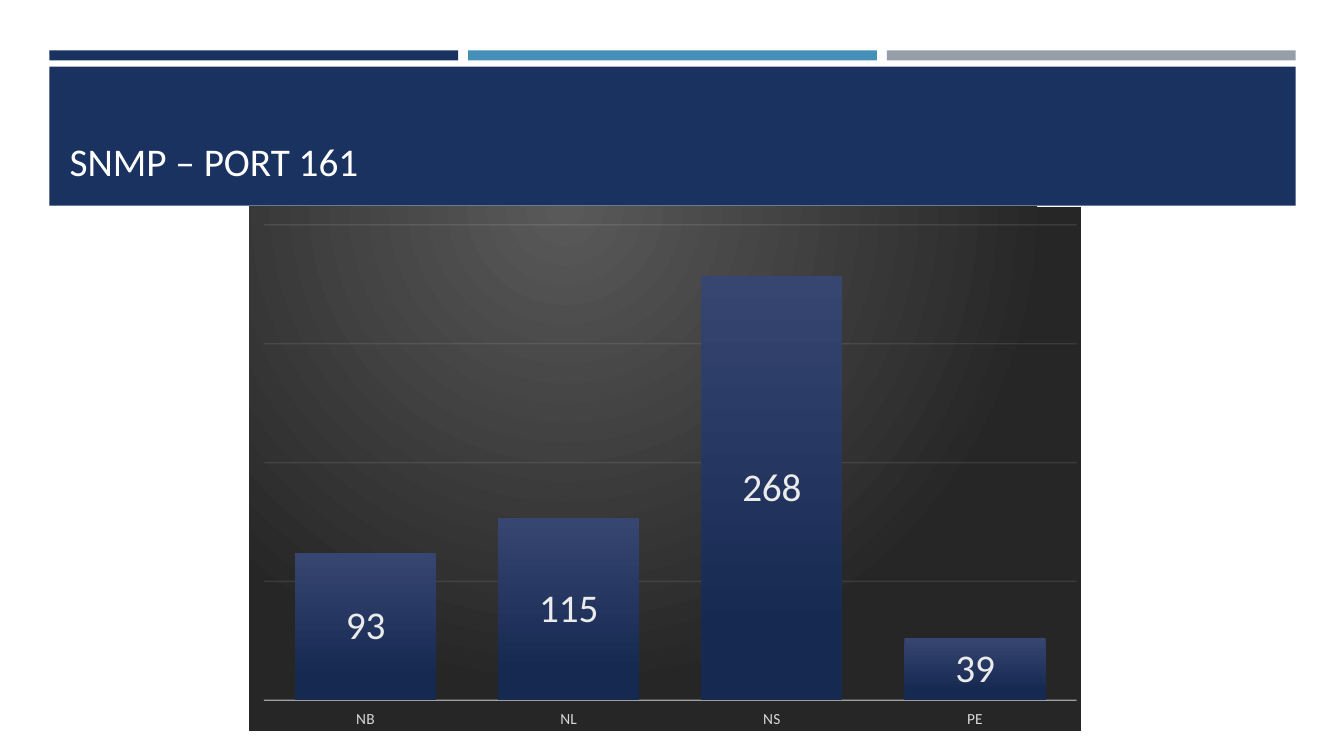
from lxml import etree
from pptx import Presentation
from pptx.chart.data import CategoryChartData
from pptx.dml.color import RGBColor
from pptx.enum.chart import XL_CHART_TYPE, XL_LABEL_POSITION, XL_TICK_LABEL_POSITION, XL_TICK_MARK
from pptx.enum.shapes import MSO_SHAPE
from pptx.enum.text import MSO_ANCHOR, PP_ALIGN
from pptx.oxml import parse_xml
from pptx.oxml.ns import nsdecls, qn
from pptx.util import Inches, Pt

STACKED = XL_CHART_TYPE.COLUMN_STACKED
CENTER = XL_LABEL_POSITION.CENTER
LABELS_LOW = XL_TICK_LABEL_POSITION.LOW
LABELS_NONE = XL_TICK_LABEL_POSITION.NONE
TICK_NONE = XL_TICK_MARK.NONE
RECTANGLE = MSO_SHAPE.RECTANGLE

FONT = "Calibri"
COLORS = {
    "navy": "1A3260", "blue": "4590B8", "gray": "969FA7", "white": "FFFFFF",
    "black": "000000", "chart_light": "595959", "chart_dark": "262626",
    "column_top": "364671", "column_bottom": "162A51",
    "axis_line": "F2F2F2", "axis_text": "D9D9D9", "value_text": "EBEBEB",
}
PORT_COUNTS = {"NB": 93, "NL": 115, "NS": 268, "PE": 39}


def rgb(name):
    return RGBColor.from_string(COLORS[name])


def style_font(font, size, color):
    font.name = FONT
    font.size = Pt(size)
    font.color.rgb = rgb(color)


def add_block(page, box, color):
    block = page.shapes.add_shape(RECTANGLE, *(Inches(length) for length in box))
    block.shadow.inherit = False
    block.fill.solid()
    block.fill.fore_color.rgb = rgb(color)
    block.line.fill.background()
    return block


def add_stripes(page, box, colors, gap):
    left, top, width, height = box
    stripe_width = (width - gap * (len(colors) - 1)) / len(colors)
    for column, color in enumerate(colors):
        stripe_left = left + column * (stripe_width + gap)
        add_block(page, (stripe_left, top, stripe_width, height), color)


def add_title_band(page, box, title):
    band = add_block(page, box, "navy")
    frame = band.text_frame
    frame.word_wrap = True
    frame.vertical_anchor = MSO_ANCHOR.BOTTOM
    frame.margin_left = frame.margin_right = Inches(0.2)
    frame.margin_top = frame.margin_bottom = Inches(0.21)
    para = frame.paragraphs[0]
    para.alignment = PP_ALIGN.LEFT
    span = para.add_run()
    span.text = title
    style_font(span.font, 28, "white")


def style_line(line, color, width, root, query, opacity):
    """Colour a line and make the colour found by the query partly transparent."""
    line.color.rgb = rgb(color)
    line.width = Pt(width)
    for node in root.xpath(query):
        etree.SubElement(node, qn("a:alpha")).set("val", str(opacity * 1000))


def fill_chart_background(root):
    stops = "".join(
        f'<a:gs pos="{position}"><a:srgbClr val="{COLORS[color]}"/></a:gs>'
        for position, color in ((0, "chart_light"), (100000, "chart_dark")))
    root.find(qn("c:chart")).addnext(parse_xml(
        f'<c:spPr {nsdecls("c", "a")}><a:gradFill><a:gsLst>{stops}</a:gsLst>'
        '<a:path path="circle"><a:fillToRect l="38000" t="-20000" r="62000" b="120000"/>'
        '</a:path></a:gradFill><a:ln><a:noFill/></a:ln></c:spPr>'))


def place_plot(root, left, top, width, height):
    """Fix the inner plot area, in shares of the chart's size."""
    plot_area = root.find(qn("c:chart")).find(qn("c:plotArea"))
    for layout in plot_area.findall(qn("c:layout")):
        plot_area.remove(layout)
    plot_area.insert(0, parse_xml(
        f'<c:layout {nsdecls("c")}><c:manualLayout><c:layoutTarget val="inner"/>'
        '<c:xMode val="edge"/><c:yMode val="edge"/>'
        f'<c:x val="{left}"/><c:y val="{top}"/><c:w val="{width}"/><c:h val="{height}"/>'
        '</c:manualLayout></c:layout>'))


def style_axes(chart):
    root = chart.element
    categories, values = chart.category_axis, chart.value_axis
    for axis in (categories, values):
        axis.major_tick_mark = axis.minor_tick_mark = TICK_NONE
        style_font(axis.tick_labels.font, 11, "axis_text")
    categories.tick_label_position = LABELS_LOW
    style_line(categories.format.line, "axis_line", 1, root,
               ".//c:catAx/c:spPr/a:ln//a:srgbClr", 54)
    values.tick_label_position = LABELS_NONE
    values.minimum_scale, values.maximum_scale, values.major_unit = 0, 300, 75
    values.format.line.fill.background()
    values.has_major_gridlines = True
    style_line(values.major_gridlines.format.line, "axis_line", 1, root,
               ".//c:majorGridlines//a:srgbClr", 10)


def style_columns(plot):
    plot.gap_width, plot.overlap = 44, 100
    plot.vary_by_categories = False
    fill = plot.series[0].format.fill
    fill.gradient()
    fill.gradient_angle = 270
    stops = ((0, "column_top"), (0.84, "column_bottom"))
    for stop, (position, color) in zip(fill.gradient_stops, stops):
        stop.position = position
        stop.color.rgb = rgb(color)
    plot.has_data_labels = True
    labels = plot.data_labels
    labels.show_value = True
    labels.position = CENTER
    labels.number_format, labels.number_format_is_linked = "0", False
    style_font(labels.font, 28, "value_text")


def add_port_chart(page, box, counts):
    data = CategoryChartData(number_format="0")
    data.categories = list(counts)
    data.add_series("Series 1", list(counts.values()))
    frame = page.shapes.add_chart(STACKED, *(Inches(length) for length in box), data)
    chart = frame.chart
    chart.has_title = chart.has_legend = False
    style_font(chart.font, 10, "black")
    style_axes(chart)
    style_columns(chart.plots[0])
    fill_chart_background(chart.element)
    place_plot(chart.element, 0.018, 0.035, 0.977, 0.907)


def main():
    deck = Presentation()
    deck.slide_width, deck.slide_height = Inches(13.33), Inches(7.5)
    page = deck.slides.add_slide(deck.slide_layouts[6])
    left, width = 0.49, 12.36
    add_stripes(page, (left, 0.5, width, 0.1), ("navy", "blue", "gray"), 0.1)
    add_title_band(page, (left, 0.66, width, 1.38), "SNMP – PORT 161")
    add_port_chart(page, (2.47, 2.05, 8.25, 5.2), PORT_COUNTS)
    deck.save("out.pptx")


if __name__ == "__main__":
    main()
